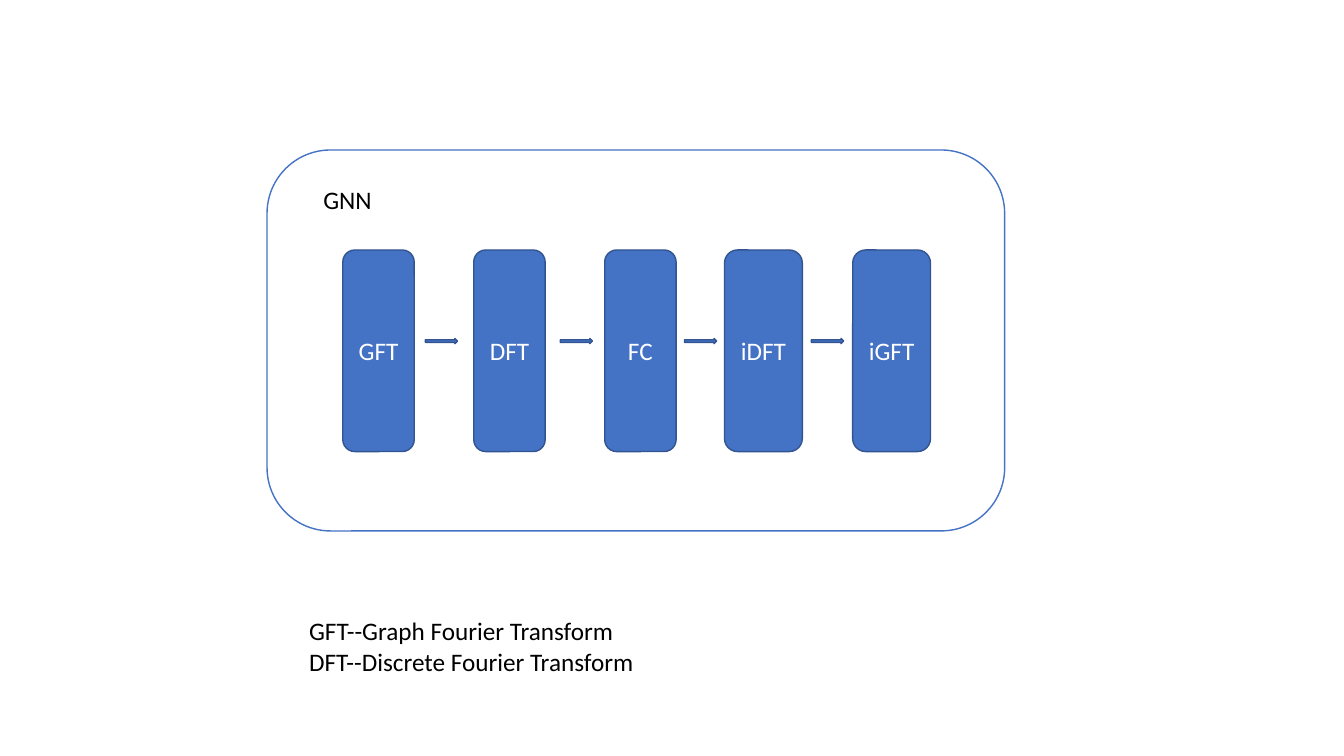
from typing import NamedTuple, Optional

from pptx import Presentation
from pptx.dml.color import RGBColor
from pptx.enum.shapes import MSO_SHAPE
from pptx.enum.text import MSO_ANCHOR, MSO_AUTO_SIZE, PP_ALIGN
from pptx.shapes.autoshape import Shape
from pptx.slide import Slide
from pptx.text.text import TextFrame
from pptx.util import Cm, Pt

WHITE = RGBColor(0xFF, 0xFF, 0xFF)
BLACK = RGBColor(0x00, 0x00, 0x00)
BLUE = RGBColor(0x44, 0x72, 0xC4)
DARK_BLUE = RGBColor(0x32, 0x54, 0x91)
FONT = "Calibri"
STAGE_TOP, STAGE_HEIGHT = 6.3, 5.08
ARROW_TOP, ARROW_WIDTH, ARROW_HEIGHT = 8.53, 0.81, 0.13


class Box(NamedTuple):
    """Position and size in centimetres."""
    left: float
    top: float
    width: float
    height: float


class Stage(NamedTuple):
    """A step of the network and the left edge of the arrow after it."""
    label: str
    left: float
    width: float
    arrow_left: Optional[float]


STAGES = [
    Stage("GFT", 8.64, 1.8, 10.72),
    Stage("DFT", 11.94, 1.8, 14.12),
    Stage("FC", 15.24, 1.8, 17.25),
    Stage("iDFT", 18.26, 1.96, 20.45),
    Stage("iGFT", 21.49, 1.96, None),
]


def write(frame: TextFrame, text: str, color: RGBColor, align: PP_ALIGN) -> None:
    """Fill a text frame, one paragraph per line of text."""
    frame.text = text
    for paragraph in frame.paragraphs:
        paragraph.alignment = align
        font = paragraph.runs[0].font
        font.name, font.size = FONT, Pt(18)
        font.color.rgb = color


def add_block(slide: Slide, kind: MSO_SHAPE, box: Box,
              fill: RGBColor = BLUE, line: RGBColor = DARK_BLUE) -> Shape:
    """Add a flat filled and outlined preset shape."""
    shape = slide.shapes.add_shape(kind, *map(Cm, box))
    shape.shadow.inherit = False
    shape.fill.solid()
    shape.fill.fore_color.rgb = fill
    shape.line.color.rgb = line
    shape.line.width = Pt(1)
    return shape


def add_label(slide: Slide, box: Box, text: str, wrap: bool) -> None:
    """Add black left-aligned text."""
    frame = slide.shapes.add_textbox(*map(Cm, box)).text_frame
    frame.word_wrap = wrap
    frame.auto_size = MSO_AUTO_SIZE.SHAPE_TO_FIT_TEXT
    write(frame, text, BLACK, PP_ALIGN.LEFT)


def add_stage(slide: Slide, stage: Stage) -> None:
    """Add a stage and, unless it is the last, the arrow that follows."""
    block = add_block(slide, MSO_SHAPE.ROUNDED_RECTANGLE,
                      Box(stage.left, STAGE_TOP, stage.width, STAGE_HEIGHT))
    block.text_frame.vertical_anchor = MSO_ANCHOR.MIDDLE
    write(block.text_frame, stage.label, WHITE, PP_ALIGN.CENTER)
    if stage.arrow_left is not None:
        add_block(slide, MSO_SHAPE.RIGHT_ARROW,
                  Box(stage.arrow_left, ARROW_TOP, ARROW_WIDTH, ARROW_HEIGHT))


def main() -> None:
    """Build and save the slide."""
    prs = Presentation()
    prs.slide_width, prs.slide_height = Cm(33.87), Cm(19.05)
    slide = prs.slides.add_slide(prs.slide_layouts[6])

    add_block(slide, MSO_SHAPE.ROUNDED_RECTANGLE,
              Box(6.73, 3.78, 18.59, 9.6), WHITE, BLUE)
    add_label(slide, Box(7.9, 4.52, 6.4, 1.02), "GNN", wrap=True)
    for stage in STAGES:
        add_stage(slide, stage)
    add_label(slide, Box(7.54, 15.39, 8.76, 1.8),
              "GFT--Graph Fourier Transform\nDFT--Discrete Fourier Transform", wrap=False)

    prs.save("out.pptx")


main()
